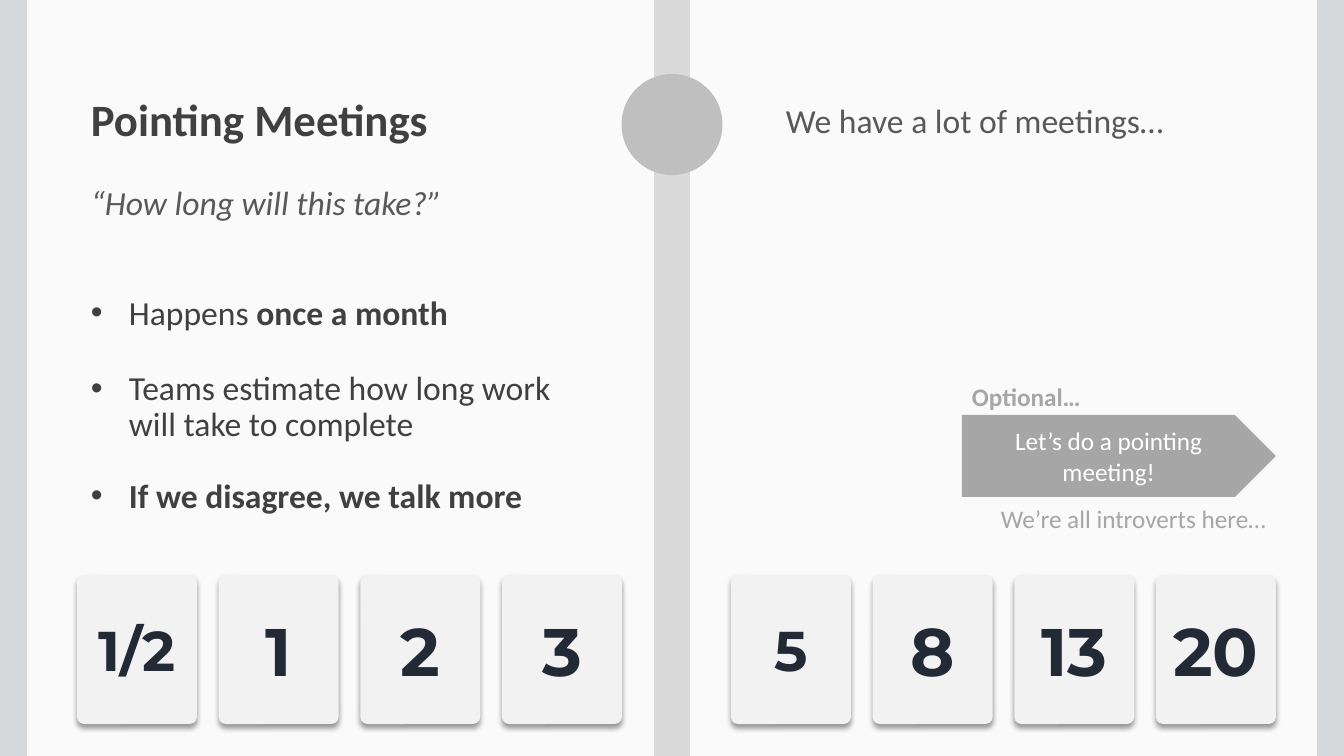
import lxml.etree
import pptx
import pptx.dml.color
import pptx.enum.shapes
import pptx.enum.text
import pptx.oxml
import pptx.oxml.ns
import pptx.util

RGB = pptx.dml.color.RGBColor
SHAPE = pptx.enum.shapes.MSO_SHAPE
ALIGN = pptx.enum.text.PP_ALIGN
ANCHOR = pptx.enum.text.MSO_ANCHOR

EMU_PER_PX = 914400 / 100.8
SLIDE_WIDTH, SLIDE_HEIGHT = 1344, 756

PAPER = RGB(0xFA, 0xFA, 0xFA)
EDGE = RGB(0xD6, 0xD9, 0xDB)
SPINE = RGB(0xD9, 0xD9, 0xD9)
DISC = RGB(0xBF, 0xBF, 0xBF)
CARD = RGB(0xF2, 0xF2, 0xF2)
CARD_INK = RGB(0x22, 0x2A, 0x35)
HEADING = RGB(0x40, 0x40, 0x40)
SUBTLE = RGB(0x59, 0x59, 0x59)
ASIDE = RGB(0xA6, 0xA6, 0xA6)
WHITE = RGB(0xFF, 0xFF, 0xFF)

BULLETS = [
    (0, [("Happens ", False), ("once a month", True)]),
    (28, [("Teams estimate how long work\vwill take to complete", False)]),
    (25, [("If we disagree, we talk more", True)]),
]


def px(length):
    """Turn a length in px into EMU."""
    return pptx.util.Emu(round(length * EMU_PER_PX))


def set_font(font, color, size, **values):
    """Apply a colour, a size in points and further font values."""
    for key, value in {"name": "Calibri", "size": pptx.util.Pt(size), **values}.items():
        setattr(font, key, value)
    font.color.rgb = color


def add_panel(shapes, kind, box, fill):
    """Add a flat filled shape without outline."""
    panel = shapes.add_shape(kind, *map(px, box))
    panel.shadow.inherit = False
    panel.fill.solid()
    panel.fill.fore_color.rgb = fill
    panel.line.fill.background()
    return panel


def write(holder, text, color, size, align=ALIGN.LEFT, spacing=0.9, **font_values):
    """Write one vertically centred paragraph into a shape."""
    frame = holder.text_frame
    frame.word_wrap = True
    frame.vertical_anchor = ANCHOR.MIDDLE
    paragraph = frame.paragraphs[0]
    paragraph.alignment = align
    paragraph.line_spacing = spacing
    run = paragraph.add_run()
    run.text = text
    set_font(run.font, color, size, **font_values)


def add_label(shapes, box, text, color, size, **values):
    """Add a text box holding one paragraph."""
    write(shapes.add_textbox(*map(px, box)), text, color, size, **values)


def add_bullets(shapes, box):
    """Add the list of facts about pointing meetings."""
    frame = shapes.add_textbox(*map(px, box)).text_frame
    frame.word_wrap = True
    for index, (space, pieces) in enumerate(BULLETS):
        paragraph = frame.paragraphs[0] if index == 0 else frame.add_paragraph()
        paragraph.line_spacing = 0.9
        paragraph.space_before = pptx.util.Pt(space)
        properties = paragraph._p.get_or_add_pPr()
        properties.set("marL", str(px(38)))
        properties.set("indent", str(-px(38)))
        for tag, attribute, value in (("a:buFont", "typeface", "Arial"), ("a:buChar", "char", "•")):
            mark = lxml.etree.SubElement(properties, pptx.oxml.ns.qn(tag))
            mark.set(attribute, value)
        set_font(paragraph.font, HEADING, 24)
        for index_in_line, (text, bold) in enumerate(pieces):
            for line_number, line in enumerate(text.split("\v")):
                if line_number:
                    paragraph.add_line_break()
                run = paragraph.add_run()
                run.text = line
                set_font(run.font, HEADING, 24, bold=bold)


def cast_shadow(card):
    """Give a card a soft shadow straight below it."""
    effects = card._element.spPr.find(pptx.oxml.ns.qn("a:effectLst"))
    effects.append(pptx.oxml.parse_xml(
        f'<a:outerShdw {pptx.oxml.ns.nsdecls("a")} blurRad="50800" dist="38100" '
        'dir="5400000" algn="t" rotWithShape="0"><a:srgbClr val="000000">'
        '<a:alpha val="40000"/></a:srgbClr></a:outerShdw>'))


def add_cards(shapes, box, points):
    """Spread a hand of estimate cards evenly over a box."""
    left, top, width, height = box
    card_width = 120
    pitch = (width - card_width) / (len(points) - 1)
    hand = shapes.add_group_shape()
    for index, (value, size) in enumerate(points):
        card_box = (left + index * pitch, top, card_width, height)
        card = add_panel(hand.shapes, SHAPE.ROUNDED_RECTANGLE, card_box, CARD)
        card.adjustments[0] = 0.06
        cast_shadow(card)
        write(card, value, CARD_INK, size, ALIGN.CENTER, 1.0, name="Montserrat", bold=True)


def add_frame(shapes, box):
    """Add the outer edges, the central spine and its disc."""
    left, top, width, height = box
    edge, spine, disc = 27, 36, 101
    middle = left + width / 2
    for x in (left, left + width - edge):
        add_panel(shapes, SHAPE.RECTANGLE, (x, top, edge, height), EDGE)
    add_panel(shapes, SHAPE.RECTANGLE, (middle - spine / 2, top, spine, height), SPINE)
    add_panel(shapes, SHAPE.OVAL, (middle - disc / 2, top + 74, disc, disc), DISC)


def add_explanation(shapes, box):
    """Add the left page: heading, question, facts and low cards."""
    left, top, width, height = box
    add_label(shapes, (left + 4, top, 519, 97), "Pointing Meetings", HEADING, 32, bold=True)
    add_label(shapes, (left + 4, top + 100, 488, 61), "“How long will this take?”",
              SUBTLE, 24, italic=True)
    add_bullets(shapes, (left + 4, top + 217, width - 4, 348))
    add_cards(shapes, (left, top + height - 149, width, 149),
              [("1/2", 40), ("1", 48), ("2", 48), ("3", 48)])


def add_invitation(shapes, box):
    """Add the right page: remark, optional exercise and high cards."""
    left, top, width, height = box
    aside_width = 314
    aside = left + width - aside_width
    add_label(shapes, (left + 45, top, 488, 97), "We have a lot of meetings…", SUBTLE, 24)
    add_label(shapes, (aside, top + 304, aside_width, 41), "Optional…", ASIDE, 18, bold=True)
    arrow = add_panel(shapes, SHAPE.PENTAGON, (aside, top + 341, aside_width, 82), ASIDE)
    write(arrow, "Let’s do a pointing meeting!", WHITE, 18, ALIGN.CENTER, 1.0)
    add_label(shapes, (aside, top + 423, aside_width, 47), "We’re all introverts here…",
              ASIDE, 18, align=ALIGN.RIGHT)
    add_cards(shapes, (left, top + height - 149, width, 149),
              [("5", 40), ("8", 48), ("13", 48), ("20", 48)])


def main():
    """Build the slide and save it."""
    deck = pptx.Presentation()
    deck.slide_width, deck.slide_height = px(SLIDE_WIDTH), px(SLIDE_HEIGHT)
    slide = deck.slides.add_slide(deck.slide_layouts[6])
    slide.background.fill.solid()
    slide.background.fill.fore_color.rgb = PAPER
    add_frame(slide.shapes, (0, 0, SLIDE_WIDTH, SLIDE_HEIGHT))
    add_explanation(slide.shapes, (77, 74, 545, 650))
    add_invitation(slide.shapes, (731, 74, 545, 650))
    deck.save("out.pptx")


if __name__ == "__main__":
    main()
